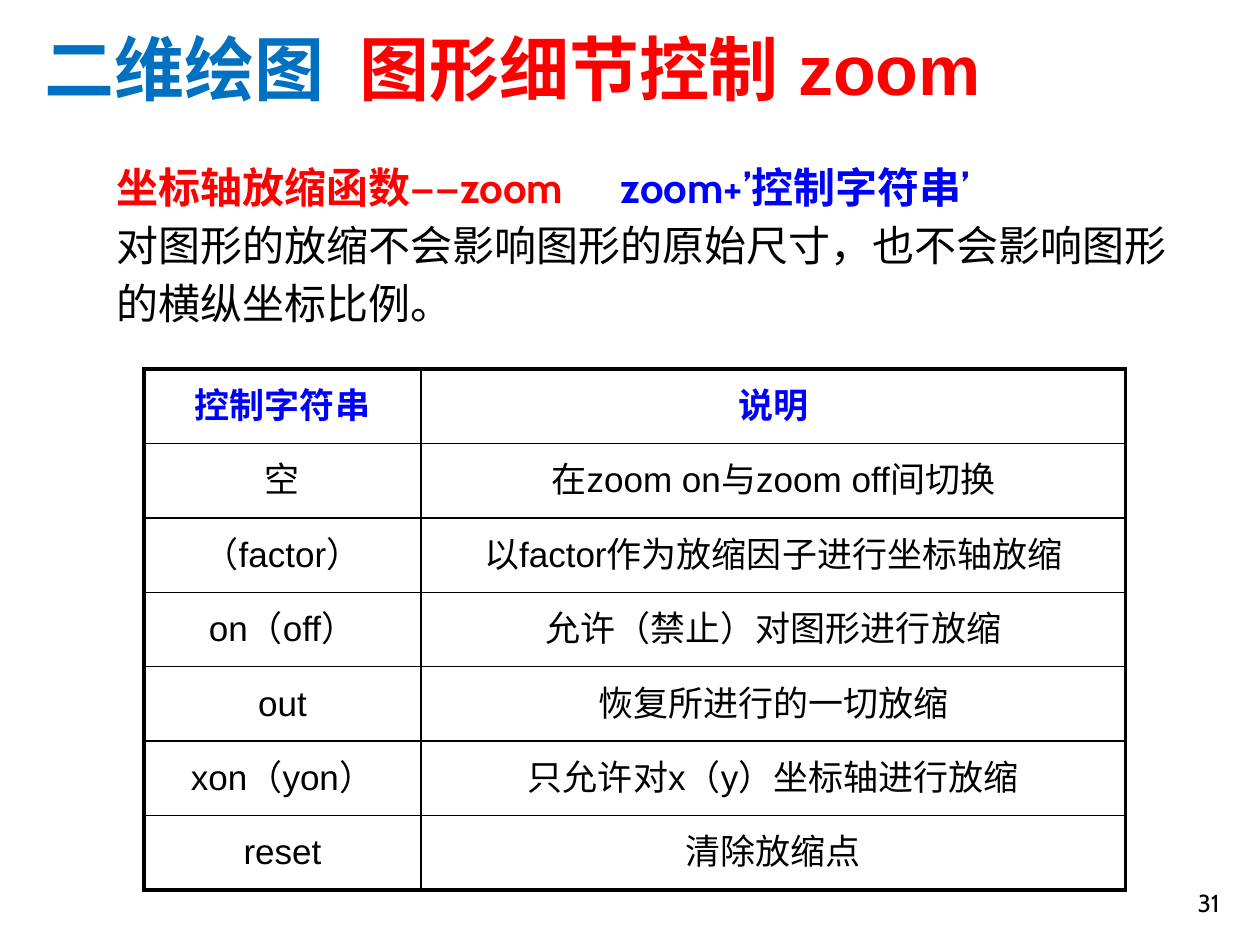
from lxml import etree
from pptx import Presentation
from pptx import util as u
from pptx.enum import text
from pptx.oxml import ns

# Content
COLORS = {"red": "FF0000", "blue": "0000FF", "sky": "0070C0", "black": "000000"}
TITLE = [[("二维绘图\t", "sky", True), ("图形细节控制 zoom", "red", True)]]
BODY = [
    [("坐标轴放缩函数——zoom\t", "red", True), ("zoom+’控制字符串’", "blue", True)],
    [("对图形的放缩不会影响图形的原始尺寸，也不会影响图形", "black", False)],
    [("的横纵坐标比例。", "black", False)],
]
ROWS = [
    ("控制字符串", "说明"),
    ("空", "在zoom on与zoom off间切换"),
    ("（factor）", "以factor作为放缩因子进行坐标轴放缩"),
    ("on（off）", "允许（禁止）对图形进行放缩"),
    ("out", "恢复所进行的一切放缩"),
    ("xon（yon）", "只允许对x（y）坐标轴进行放缩"),
    ("reset", "清除放缩点"),
]
COL_WIDTHS = (5.59, 14.2)
ROW_HEIGHT = 1.5
THIN, THICK = 1, 2.25
PAGE = "31"


def sub(parent, tag, **attrs):
    return etree.SubElement(parent, ns.qn(tag), {k: str(v) for k, v in attrs.items()})


def write(tf, paragraphs, size, font="Arial", align=text.PP_ALIGN.LEFT, before=0, tab=None):
    """Fill a text frame with paragraphs, each a list of (text, colour, bold)."""
    for i, runs in enumerate(paragraphs):
        p = tf.paragraphs[0] if i == 0 else tf.add_paragraph()
        p.alignment = align
        p.space_before = u.Pt(before)
        pPr = p._p.get_or_add_pPr()
        pPr.set("marL", "0")
        pPr.set("indent", "0")
        sub(pPr, "a:buNone")
        if tab:
            sub(sub(pPr, "a:tabLst"), "a:tab", pos=u.Cm(tab), algn="l")
        for words, color, bold in runs:
            r = p.add_run()
            r.text = words
            r.font.size = u.Pt(size)
            r.font.bold = bold
            r.font.name = font
            r.font.color.rgb = ns_color(color)
            sub(r._r.get_or_add_rPr(), "a:ea", typeface=font)


def ns_color(name):
    from pptx.dml.color import RGBColor
    return RGBColor.from_string(COLORS[name])


def place(sp, left, top, width, height, anchor):
    sp.left, sp.top, sp.width, sp.height = map(u.Cm, (left, top, width, height))
    tf = sp.text_frame
    tf.word_wrap = True
    tf.auto_size = text.MSO_AUTO_SIZE.NONE
    tf.vertical_anchor = anchor
    return tf


def set_borders(cell, widths):
    tcPr = cell._tc.get_or_add_tcPr()
    for i, (side, width) in enumerate(widths.items()):
        ln = etree.Element(ns.qn(f"a:ln{side}"), w=str(u.Pt(width)))
        sub(sub(ln, "a:solidFill"), "a:srgbClr", val=COLORS["black"])
        tcPr.insert(i, ln)


def main():
    prs = Presentation()
    prs.slide_width, prs.slide_height = u.Cm(25.4), u.Cm(19.05)
    s = prs.slides.add_slide(prs.slide_layouts[1])
    anchor = text.MSO_ANCHOR

    # Title and explanation
    tf = place(s.shapes.title, 0.64, 0.53, 21.8, 1.8, anchor.BOTTOM)
    write(tf, TITLE, 40, tab=7.95)
    tf = place(s.placeholders[1], 2.1, 3.12, 22.2, 4.4, anchor.TOP)
    write(tf, BODY, 24, "Cabin", before=4.5, tab=11.25)

    # Table of control strings
    n_rows, n_cols = len(ROWS), len(COL_WIDTHS)
    tbl = s.shapes.add_table(n_rows, n_cols, u.Cm(2.9), u.Cm(7.44),
                             u.Cm(sum(COL_WIDTHS)), u.Cm(ROW_HEIGHT * n_rows)).table
    tbl.first_row = tbl.horz_banding = False
    for col, width in zip(tbl.columns, COL_WIDTHS):
        col.width = u.Cm(width)
    for i, row in enumerate(ROWS):
        tbl.rows[i].height = u.Cm(ROW_HEIGHT)
        color = "blue" if i == 0 else "black"
        for j, words in enumerate(row):
            cell = tbl.cell(i, j)
            cell.fill.background()
            cell.vertical_anchor = anchor.MIDDLE
            write(cell.text_frame, [[(words, color, i == 0)]], 20,
                  align=text.PP_ALIGN.CENTER, before=4)
            outer = {"L": j == 0, "R": j == n_cols - 1, "T": i == 0, "B": i == n_rows - 1}
            set_borders(cell, {k: THICK if edge else THIN for k, edge in outer.items()})

    # Page number
    sp = s.shapes.add_textbox(0, 0, 0, 0)
    tf = place(sp, 19.56, 17.35, 5.28, 1.27, anchor.BOTTOM)
    write(tf, [[(PAGE, "black", False)]], 14, "Cabin", text.PP_ALIGN.RIGHT)

    prs.save("out.pptx")


if __name__ == "__main__":
    main()
